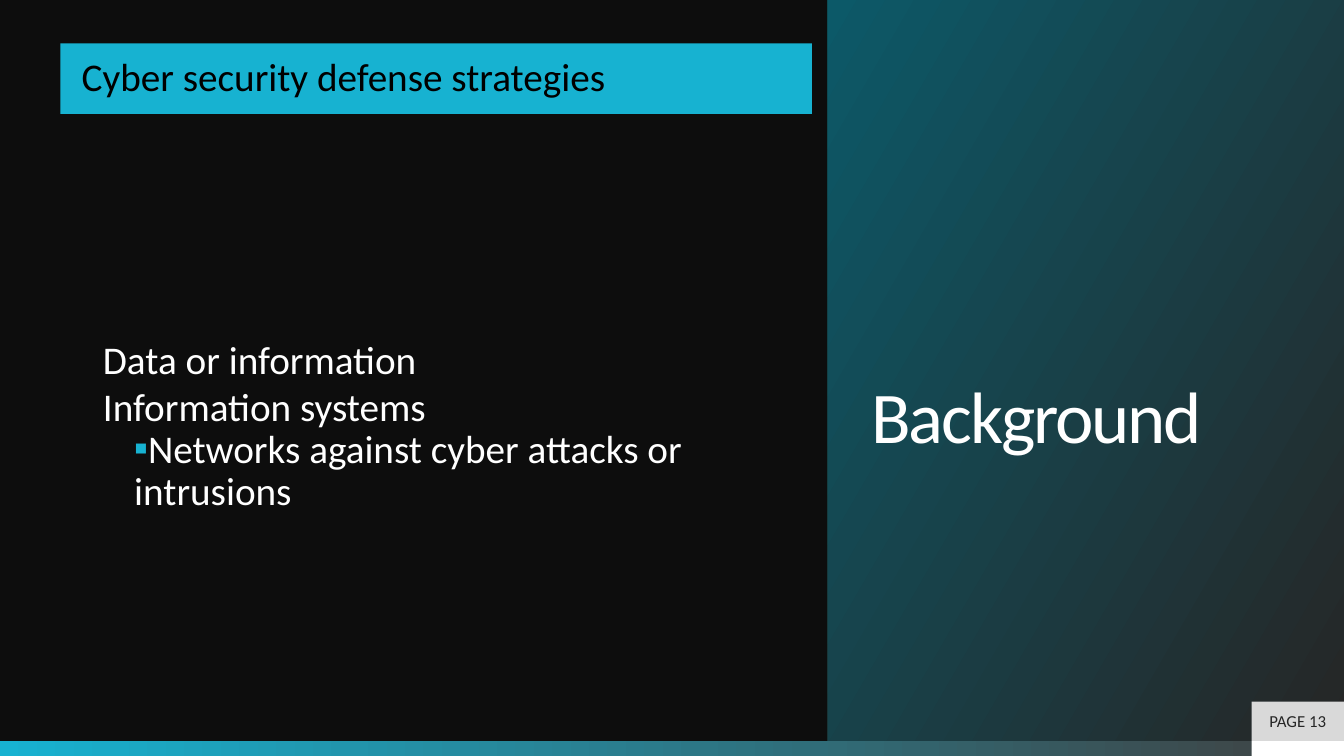
"""Build the Background slide on cyber security defense strategies."""
from lxml.etree import SubElement as Sub
from pptx import Presentation
from pptx.dml.color import RGBColor as RGB
from pptx.enum.shapes import MSO_SHAPE as Kind
from pptx.enum.text import MSO_ANCHOR as Anchor, PP_ALIGN as Align
from pptx.oxml.ns import qn
from pptx.util import Inches, Pt

BLACK = RGB(0x00, 0x00, 0x00)
NIGHT = RGB(0x0D, 0x0D, 0x0D)
COAL = RGB(0x26, 0x26, 0x26)
GREY = RGB(0x40, 0x40, 0x40)
PALE = RGB(0xD9, 0xD9, 0xD9)
WHITE = RGB(0xFF, 0xFF, 0xFF)
CYAN = RGB(0x17, 0xB2, 0xD1)
TEAL = RGB(0x0C, 0x59, 0x68)

deck = Presentation()
deck.slide_width, deck.slide_height = Inches(13.33), Inches(7.5)
COL, ROW = deck.slide_width / 100, deck.slide_height / 100
slide = deck.slides.add_slide(deck.slide_layouts[6])
slide.background.fill.solid()
slide.background.fill.fore_color.rgb = NIGHT


def block(left, top, wide, high, *tints, angle=0):
    """Add a rectangle in grid units with a plain or two-colour fill."""
    shape = slide.shapes.add_shape(
        Kind.RECTANGLE, int(left * COL), int(top * ROW), int(wide * COL), int(high * ROW))
    shape.shadow.inherit = False
    shape.line.fill.background()
    if len(tints) == 1:
        shape.fill.solid()
        shape.fill.fore_color.rgb = tints[0]
    else:
        shape.fill.gradient()
        shape.fill.gradient_angle = angle
        for stop, tint, place in zip(shape.fill.gradient_stops, tints, (0, 1)):
            stop.color.rgb, stop.position = tint, place
    return shape


def write(frame, lines, size, tint, side, top=0, base=0, space=0.9, align=Align.LEFT):
    """Fill a text frame, one paragraph a line, with margins in grid units."""
    frame.word_wrap = True
    frame.margin_left = frame.margin_right = int(side * COL)
    frame.margin_top, frame.margin_bottom = int(top * ROW), int(base * ROW)
    for i, line in enumerate(lines):
        para = frame.paragraphs[0] if i == 0 else frame.add_paragraph()
        para.alignment, para.line_spacing = align, space
        run = para.add_run()
        run.text = line
        run.font.name, run.font.size = "Calibri", Pt(size)
        run.font.color.rgb = tint
    return frame.paragraphs


FOOT, EDGE = 98, 93.13
block(0, FOOT, 100, 100 - FOOT, CYAN, GREY)
block(EDGE, FOOT, 100 - EDGE, 100 - FOOT, WHITE)

panel = block(61.6, 0, 38.4, FOOT, COAL, TEAL, angle=150)
panel.text_frame.vertical_anchor = Anchor.MIDDLE
title = write(panel.text_frame, ["Background"], 52, WHITE, 3.23, 0.67, 0.67, space=2)
title[0].runs[0]._r.get_or_add_rPr().set("spc", "-150")

page = block(EDGE, 92.8, 100 - EDGE, FOOT - 92.8, PALE)
page.text_frame.vertical_anchor = Anchor.MIDDLE
write(page.text_frame, ["PAGE 13"], 12, COAL, 0.75, space=1, align=Align.CENTER)

body = slide.shapes.add_textbox(
    int(3.08 * COL), int(25.33 * ROW), int(58.59 * COL), int(47.73 * ROW))
goals = ["Data or information", "Information systems",
         "Networks against cyber attacks or intrusions"]
paras = write(body.text_frame, goals, 28, WHITE, 4.58, 19.73, 2.93)
paras[0].space_after = Pt(3)
props = paras[2]._p.get_or_add_pPr()
props.set("marL", str(int(2.33 * COL)))
props.set("indent", "0")
Sub(Sub(props, qn("a:buClr")), qn("a:srgbClr")).set("val", str(CYAN))
Sub(props, qn("a:buFont")).set("typeface", "Calibri")
Sub(props, qn("a:buChar")).set("char", "▪")

bar = block(4.5, 5.73, 55.9, 9.33, CYAN)
bar.text_frame.vertical_anchor = Anchor.MIDDLE
write(bar.text_frame, ["Cyber security defense strategies"], 28, BLACK, 1.58)

deck.save("out.pptx")
